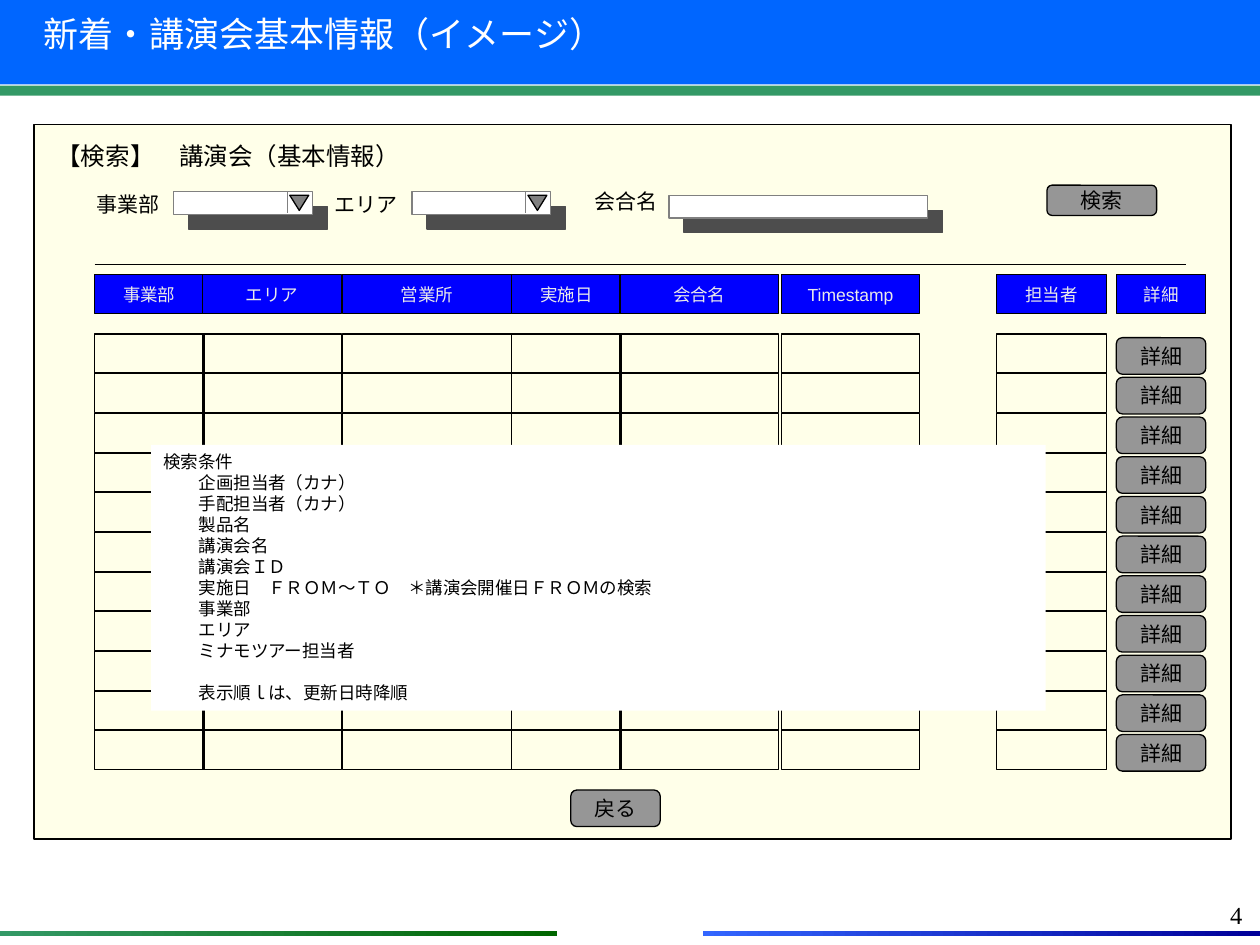
from lxml import etree
from pptx import Presentation
from pptx.dml.color import RGBColor
from pptx.enum import shapes, text
from pptx.oxml import ns
from pptx.util import Inches, Pt

BLACK = RGBColor(0x00, 0x00, 0x00)
WHITE = RGBColor(0xFF, 0xFF, 0xFF)
BLUE = RGBColor(0x00, 0x66, 0xFF)
GREEN = RGBColor(0x33, 0x99, 0x66)
DARK_GREEN = RGBColor(0x00, 0x66, 0x00)
LIGHT_BLUE = RGBColor(0x33, 0x66, 0xFF)
NAVY = RGBColor(0x00, 0x00, 0x99)
CREAM = RGBColor(0xFF, 0xFF, 0xE9)
HEADER_BLUE = RGBColor(0x00, 0x00, 0xFF)
HEADER_TEXT = RGBColor(0xEA, 0xEA, 0xEA)
BUTTON_GRAY = RGBColor(0x96, 0x96, 0x96)
FIELD_GRAY = RGBColor(0x80, 0x80, 0x80)
SHADOW_GRAY = RGBColor(0x4D, 0x4D, 0x4D)

RECTANGLE = shapes.MSO_SHAPE.RECTANGLE
ROUNDED = shapes.MSO_SHAPE.ROUNDED_RECTANGLE
TRIANGLE = shapes.MSO_SHAPE.ISOSCELES_TRIANGLE
CENTER = text.PP_ALIGN.CENTER

LABELS = [
    ("新着・講演会基本情報（イメージ）", (0.25, 0.05, 9.75, 0.79), 20, "DejaVu Sans", WHITE),
    ("【検索】　講演会（基本情報）", (0.35, 1.07, 3.7, 0.3), 14, "Arial", BLACK),
    ("事業部", (0.67, 1.47, 2.05, 0.3), 12, "Arial", BLACK),
    ("エリア", (2.56, 1.47, 2.05, 0.3), 12, "Arial", BLACK),
    ("会合名", (4.62, 1.45, 2.05, 0.3), 12, "Arial", BLACK),
]
DROPDOWN_LEFTS = [1.38, 3.27]
COLUMNS = [
    ("事業部", 0.75, 0.87),
    ("エリア", 1.61, 1.1),
    ("営業所", 2.72, 1.34),
    ("実施日", 4.06, 0.87),
    ("会合名", 4.92, 1.26),
    ("Timestamp", 6.2, 1.1),
    ("担当者", 7.91, 0.87),
]
DETAIL = ("詳細", 8.86, 0.71)
ROW_COUNT = 11
FIRST_ROW_TOP, LAST_ROW_TOP = 2.65, 5.8
SHORT_ROWS = range(3, 9)
SHORT_ROW_COLUMNS = ("事業部", "担当者")
CONDITIONS_HEADING = "検索条件"
CONDITIONS = [
    "企画担当者（カナ）",
    "手配担当者（カナ）",
    "製品名",
    "講演会名",
    "講演会ＩＤ",
    "実施日　ＦＲＯＭ～ＴＯ　＊講演会開催日ＦＲＯＭの検索",
    "事業部",
    "エリア",
    "ミナモツアー担当者",
    "表示順ｌは、更新日時降順",
]

presentation = Presentation()
presentation.slide_width = Inches(10)
presentation.slide_height = Inches(7.5)
slide = presentation.slides.add_slide(presentation.slide_layouts[6])


def format_paragraph(paragraph, size, font, color, align=text.PP_ALIGN.LEFT):
    paragraph.alignment = align
    for run in paragraph.runs:
        run.font.size = Pt(size)
        run.font.name = font
        run.font.color.rgb = color


def add_box(kind, box, fill=None, line=None):
    shape = slide.shapes.add_shape(kind, *map(Inches, box))
    shape.shadow.inherit = False
    if fill is None:
        shape.fill.background()
    else:
        shape.fill.solid()
        shape.fill.fore_color.rgb = fill
    if line is None:
        shape.line.fill.background()
    else:
        shape.line.color.rgb = line
        shape.line.width = Pt(0.75)
    return shape


def add_caption_box(kind, caption, box, fill, size, color):
    shape = add_box(kind, box, fill, BLACK)
    frame = shape.text_frame
    frame.text = caption
    frame.word_wrap = False
    frame.vertical_anchor = text.MSO_ANCHOR.MIDDLE
    format_paragraph(frame.paragraphs[0], size, "Arial", color, CENTER)


def add_button(caption, box):
    add_caption_box(ROUNDED, caption, box, BUTTON_GRAY, 12, BLACK)


def add_label(caption, box, size, font, color, align=text.PP_ALIGN.LEFT):
    frame = slide.shapes.add_textbox(*map(Inches, box)).text_frame
    frame.word_wrap = True
    frame.text = caption
    format_paragraph(frame.paragraphs[0], size, font, color, align)


def add_line(start, end, color):
    connector = slide.shapes.add_connector(
        shapes.MSO_CONNECTOR.STRAIGHT, *map(Inches, start + end))
    connector.line.color.rgb = color
    connector.line.width = Pt(0.75)
    etree.SubElement(connector._element.spPr, ns.qn("a:effectLst"))


def add_field(left, top, width):
    shape = add_box(RECTANGLE, (left, top, width, 0.18), WHITE, FIELD_GRAY)
    effects = shape._element.spPr.find(ns.qn("a:effectLst"))
    shadow = etree.SubElement(effects, ns.qn("a:outerShdw"), dist=str(Pt(12.1)),
                              dir="2700000", algn="ctr", rotWithShape="0")
    etree.SubElement(shadow, ns.qn("a:srgbClr"), val=str(SHADOW_GRAY))


def add_gradient_bar(box, colors):
    shape = add_box(RECTANGLE, box)
    shape.fill.gradient()
    shape.fill.gradient_angle = 0
    for stop, color in zip(shape.fill.gradient_stops, colors):
        stop.color.rgb = color


add_box(RECTANGLE, (0, 0, 10, 0.67), BLUE)
add_gradient_bar((5.58, 7.39, 4.42, 0.04), (LIGHT_BLUE, NAVY))
add_gradient_bar((0, 7.39, 4.42, 0.04), (GREEN, DARK_GREEN))
add_box(RECTANGLE, (-0.04, 0.68, 10.04, 0.08), GREEN)
add_label("4", (7.63, 7.09, 2.33, 0.52), 14, "Times New Roman", BLACK, text.PP_ALIGN.RIGHT)
add_box(RECTANGLE, (0.27, 0.99, 9.5, 5.67), CREAM, BLACK)

for label in LABELS:
    add_label(*label)
add_line((0.75, 2.1), (9.41, 2.1), BLACK)

for left in DROPDOWN_LEFTS:
    add_field(left, 1.52, 1.1)
    add_line((left + 0.9, 1.52), (left + 0.9, 1.69), FIELD_GRAY)
    arrow = add_box(TRIANGLE, (left + 0.92, 1.55, 0.15, 0.12), FIELD_GRAY, BLACK)
    arrow.rotation = 180
add_field(5.31, 1.55, 2.05)
add_button("検索", (8.31, 1.47, 0.87, 0.24))

for name, left, width in COLUMNS + [DETAIL]:
    add_caption_box(RECTANGLE, name, (left, 2.18, width, 0.31), HEADER_BLUE, 10, HEADER_TEXT)

row_pitch = (LAST_ROW_TOP - FIRST_ROW_TOP) / (ROW_COUNT - 1)
detail_name, detail_left, detail_width = DETAIL
for row in range(ROW_COUNT):
    top = FIRST_ROW_TOP + row * row_pitch
    for name, left, width in COLUMNS:
        if row not in SHORT_ROWS or name in SHORT_ROW_COLUMNS:
            add_box(RECTANGLE, (left, top, width, 0.31), line=BLACK)
    add_button(detail_name, (detail_left, top + 0.03, detail_width, 0.29))
add_button("戻る", (4.53, 6.27, 0.71, 0.29))

conditions = add_box(RECTANGLE, (1.2, 3.53, 7.1, 2.11), WHITE).text_frame
conditions.word_wrap = True
conditions.vertical_anchor = text.MSO_ANCHOR.TOP
conditions.text = "\n".join([CONDITIONS_HEADING] + CONDITIONS)
for paragraph in conditions.paragraphs:
    format_paragraph(paragraph, 10, "Arial", BLACK)
for paragraph in conditions.paragraphs[1:]:
    paragraph._p.get_or_add_pPr().set("marL", str(Inches(0.28)))
conditions.paragraphs[-1].space_before = Pt(12)

presentation.save("out.pptx")
